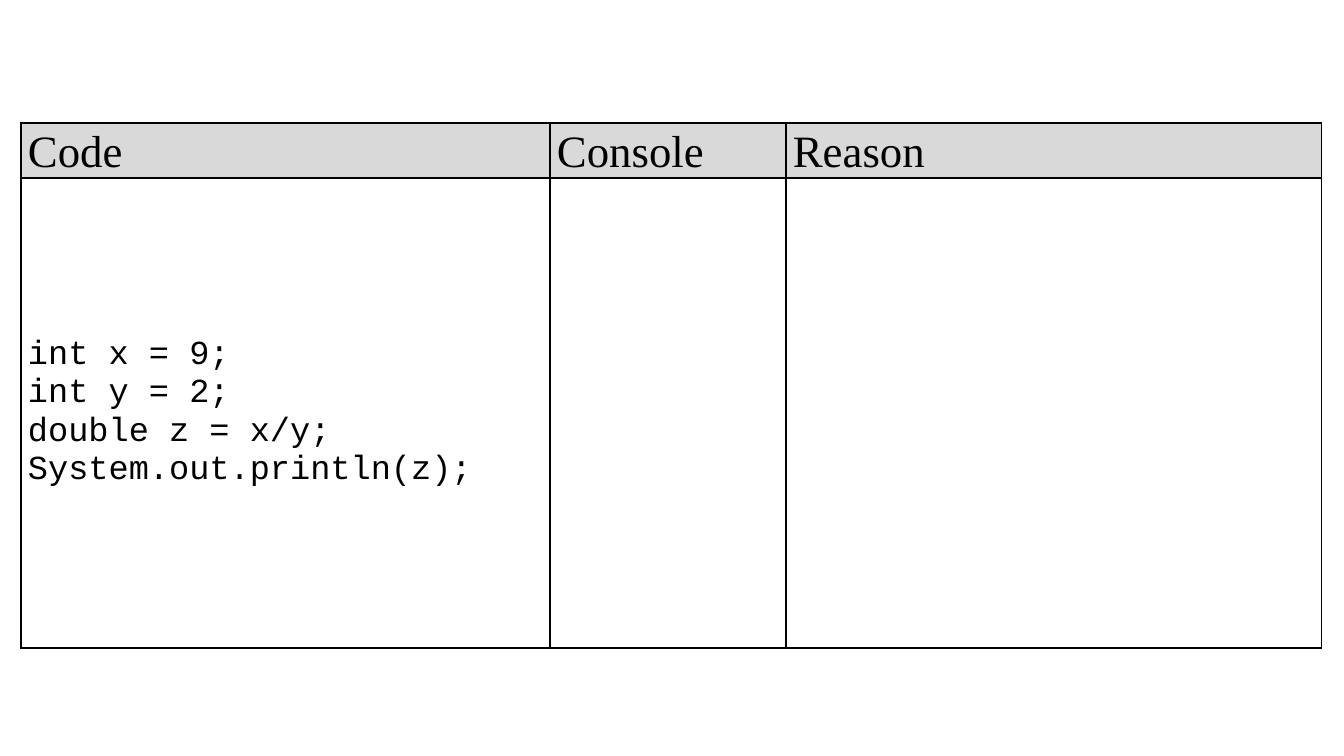
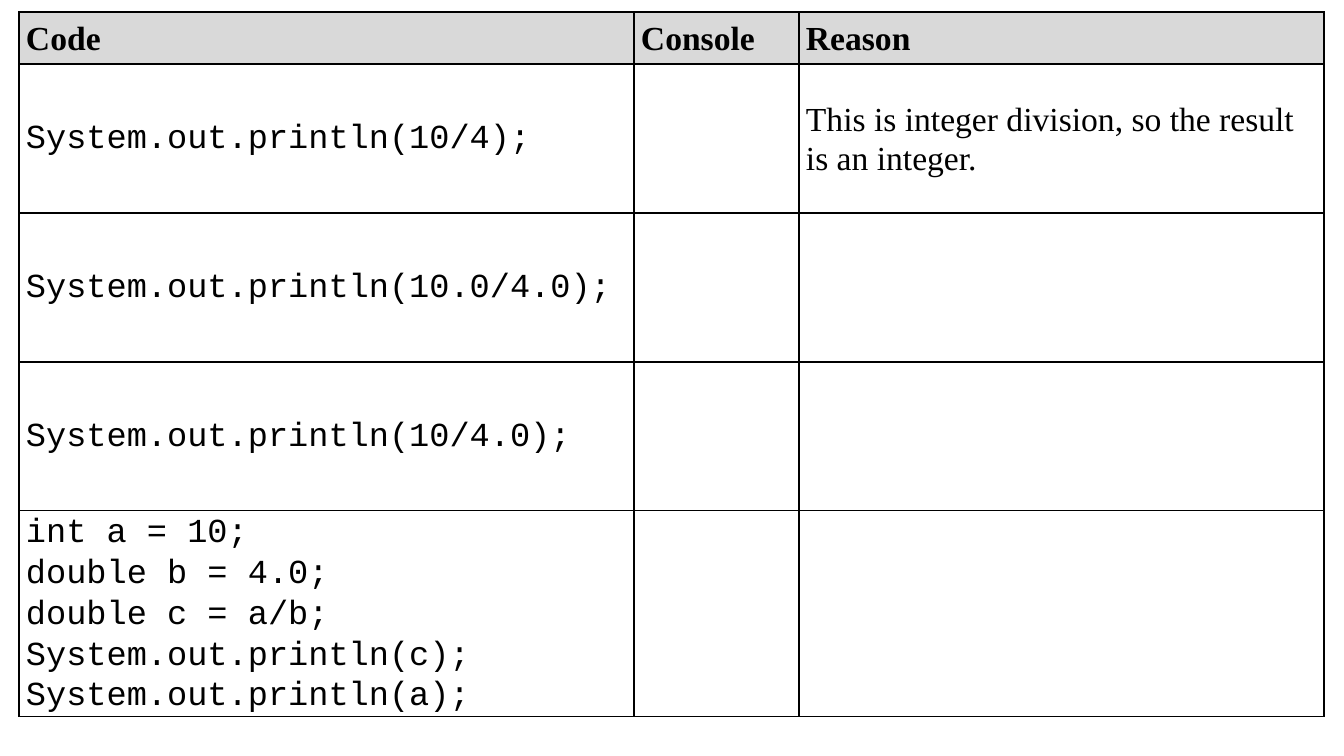
from lxml.etree import SubElement
from pptx import Presentation
from pptx.dml.color import RGBColor
from pptx.enum.text import MSO_ANCHOR
from pptx.oxml.ns import qn
from pptx.util import Emu, Pt

SLIDE_WIDTH, SLIDE_HEIGHT = 1344, 756
EMU_PER_PX = 12192000 / SLIDE_WIDTH
INK, HEADER_FILL = "000000", "D9D9D9"
TEXT_FONT, CODE_FONT = "Times New Roman", "Courier New"
BODY_SIZE = 24
LOOSE_SPACING = 1.07
CELL_INSET = 7
BORDER_POINTS = 1
HEADERS = ("Code", "Console", "Reason")


def px(length):
    return Emu(round(length * EMU_PER_PX))


def color(value):
    return RGBColor.from_string(value)


def add_borders(cell):
    properties = cell._tc.get_or_add_tcPr()
    for side in ("a:lnL", "a:lnR", "a:lnT", "a:lnB"):
        line = SubElement(properties, qn(side), w=str(Pt(BORDER_POINTS)))
        fill = SubElement(line, qn("a:solidFill"))
        SubElement(fill, qn("a:srgbClr"), val=INK)


def fill_cell(cell, text, font_name, size, bold, spacing, fill_color):
    cell.margin_left = cell.margin_right = px(CELL_INSET)
    cell.margin_top = cell.margin_bottom = 0
    cell.vertical_anchor = MSO_ANCHOR.MIDDLE
    add_borders(cell)
    if fill_color:
        cell.fill.solid()
        cell.fill.fore_color.rgb = color(fill_color)
    else:
        cell.fill.background()
    cell.text_frame.text = text
    for paragraph in cell.text_frame.paragraphs:
        paragraph.line_spacing = spacing
        paragraph.font.name = font_name
        paragraph.font.size = Pt(size)
        paragraph.font.bold = bold
        paragraph.font.color.rgb = color(INK)


def add_exercise_table(slide, left, top, widths, heights, exercises,
                       header_size, header_bold, code_spacing):
    shape = slide.shapes.add_table(len(heights), len(widths), px(left), px(top),
                                   px(sum(widths)), px(sum(heights)))
    table = shape.table
    table.horz_banding = False
    for column, width in zip(table.columns, widths):
        column.width = px(width)
    for row, height in zip(table.rows, heights):
        row.height = px(height)
    for cell, header in zip(table.rows[0].cells, HEADERS):
        fill_cell(cell, header, TEXT_FONT, header_size, header_bold,
                  LOOSE_SPACING, HEADER_FILL)
    for row_index, (code, reason) in enumerate(exercises, 1):
        entries = ((code, CODE_FONT, code_spacing),
                   ("", TEXT_FONT, LOOSE_SPACING),
                   (reason, TEXT_FONT, LOOSE_SPACING))
        for cell, (text, font_name, spacing) in zip(table.rows[row_index].cells, entries):
            fill_cell(cell, text, font_name, BODY_SIZE, False, spacing, None)


def add_slide(presentation):
    return presentation.slides.add_slide(presentation.slide_layouts[6])


def main():
    presentation = Presentation()
    presentation.slide_width = px(SLIDE_WIDTH)
    presentation.slide_height = px(SLIDE_HEIGHT)

    variable_division = [
        ("int x = 9;\nint y = 2;\ndouble z = x/y;\nSystem.out.println(z);", ""),
    ]
    add_exercise_table(add_slide(presentation), 21, 123, (529, 236, 536), (55, 470),
                       variable_division, 32, False, 1.0)

    division_types = [
        ("System.out.println(10/4);",
         "This is integer division, so the result is an integer."),
        ("System.out.println(10.0/4.0);", ""),
        ("System.out.println(10/4.0);", ""),
        ("int a = 10;\ndouble b = 4.0;\ndouble c = a/b;\n"
         "System.out.println(c);\nSystem.out.println(a);", ""),
    ]
    add_exercise_table(add_slide(presentation), 19, 12, (615, 165, 525),
                       (52, 149, 149, 149, 206), division_types,
                       BODY_SIZE, True, LOOSE_SPACING)

    presentation.save("out.pptx")


if __name__ == "__main__":
    main()
